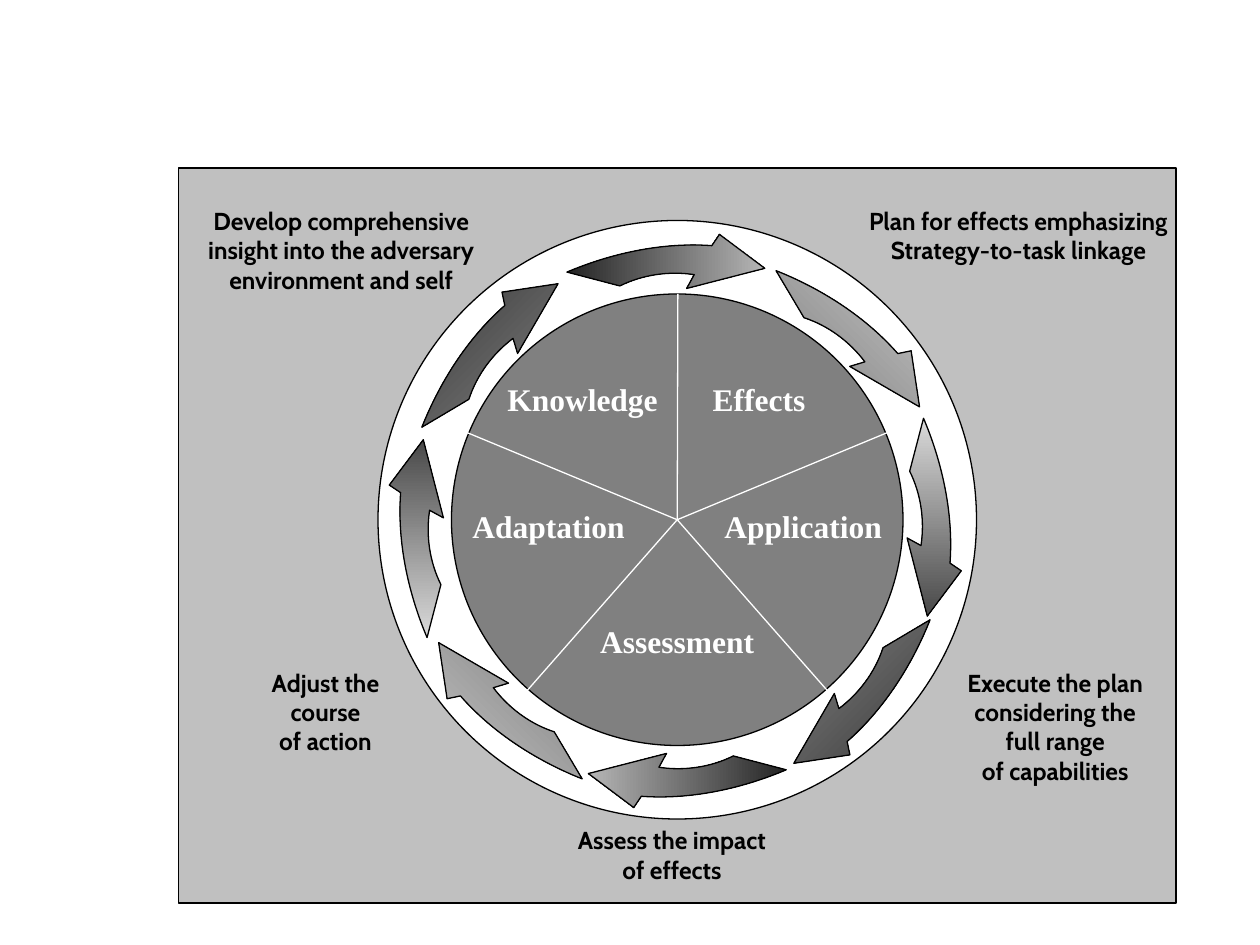
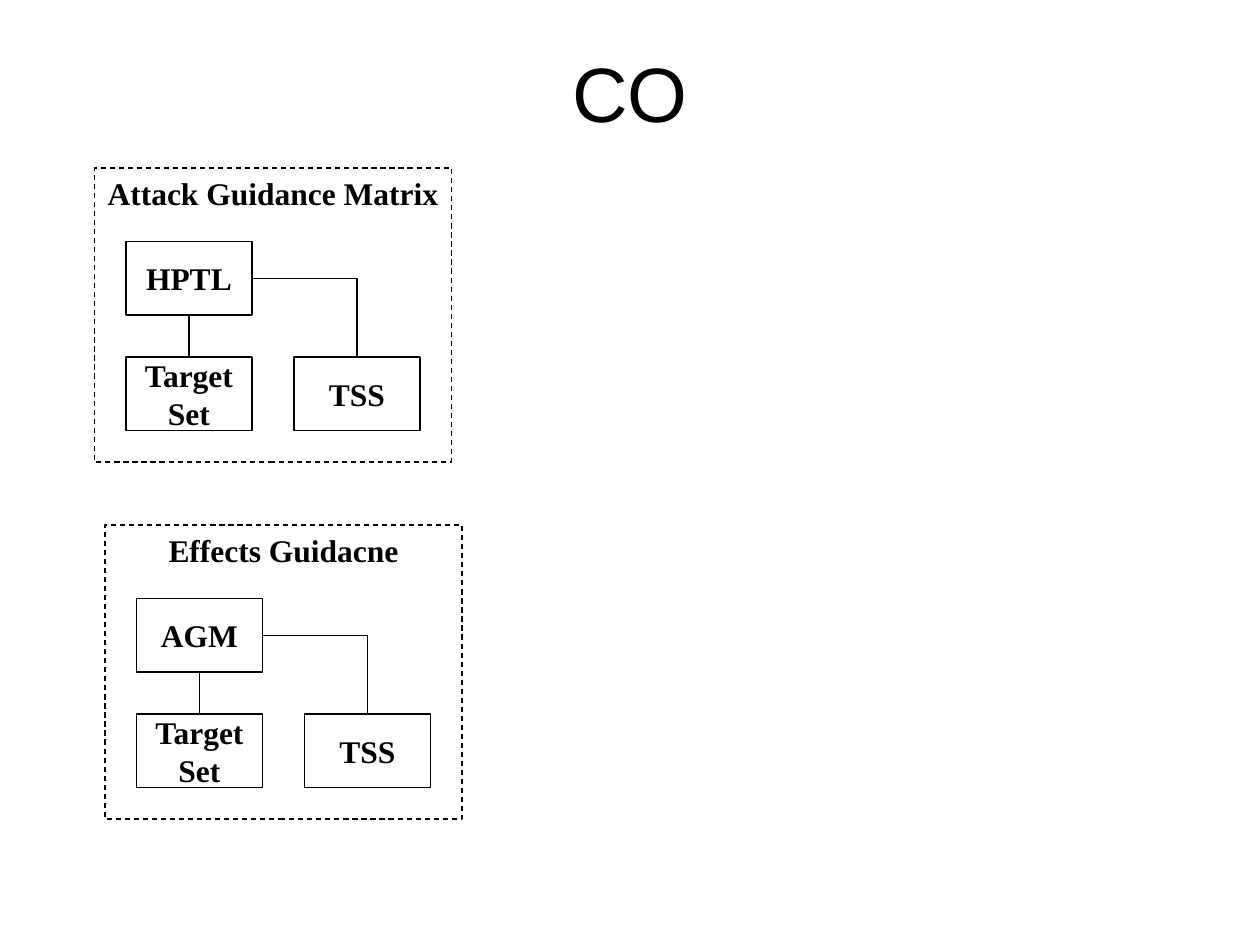
"""Build a two-slide deck: an effects cycle wheel and two guidance charts."""

from dataclasses import dataclass
from math import cos, radians, sin

from pptx import Presentation
from pptx.dml.color import RGBColor
from pptx.enum.dml import MSO_LINE_DASH_STYLE as Dash
from pptx.enum.shapes import MSO_CONNECTOR_TYPE as Link
from pptx.enum.shapes import MSO_AUTO_SHAPE_TYPE as Preset
from pptx.enum.text import MSO_ANCHOR as Anchor
from pptx.enum.text import PP_ALIGN as Align
from pptx.oxml.ns import qn
from pptx.oxml.xmlchemy import OxmlElement
from pptx.util import Inches, Pt

Point = tuple[float, float]


@dataclass(frozen=True)
class Theme:
    """Colours, fonts and type sizes of the deck."""

    ink: str = "000000"
    paper: str = "FFFFFF"
    panel: str = "C0C0C0"
    hub: str = "808080"
    title_font: str = "Arial"
    label_font: str = "Cabin"
    box_font: str = "Times New Roman"
    title_size: int = 44
    label_size: int = 14
    box_size: int = 18
    line_width: float = 0.75


def grid(value: float) -> Inches:
    """Turn inches into a length, snapping to the twelfth of an inch it rounds."""
    twelfth = round(value * 12) / 12
    return Inches(twelfth if abs(twelfth - value) < 0.01 else value)


@dataclass(frozen=True)
class Box:
    """A rectangle on the slide, in inches."""

    left: float
    top: float
    width: float
    height: float

    def lengths(self) -> list[Inches]:
        """Return the four measures as lengths."""
        return [grid(n) for n in (self.left, self.top, self.width, self.height)]


@dataclass(frozen=True)
class Step:
    """A text beside the wheel."""

    text: str
    box: Box
    inset: float = 0.1


@dataclass(frozen=True)
class HubLine:
    """A line of sector names with its space before, tab stop and right indent."""

    text: str
    gap: float = 0
    tab: float = 0
    indent: float = 0


@dataclass(frozen=True)
class Shading:
    """Two shades and the angle between the arrow's course and the gradient."""

    first: str
    last: str
    angle: float = 0


@dataclass(frozen=True)
class RingArrow:
    """An arrow of the ring: pivot, clockwise turn and shading."""

    pivot: Point
    turn: float
    shading: Shading


@dataclass(frozen=True)
class Guidance:
    """A dashed frame holding one parent box and two children."""

    left: float
    top: float
    heading: str
    parent: str


THEME = Theme()
HUB_CENTER = (5.375, 4.125)
SPOKE_ENDS = [(5.38, 2.33), (4.17, 5.5), (6.58, 5.5), (7.08, 3.42), (3.67, 3.42)]
HUB_LINES = [
    HubLine("Knowledge\tEffects", tab=1.63, indent=0.33),
    HubLine("Adaptation\tApplication", gap=51, tab=2),
    HubLine("Assessment", gap=44),
]
STEPS = [
    Step("Plan for effects emphasizing\nStrategy-to-task linkage", Box(6.75, 1.58, 2.67, 0.8), 0),
    Step("Develop comprehensive\ninsight into the adversary\nenvironment and self", Box(1.33, 1.58, 2.75, 0.8)),
    Step("Execute the plan\nconsidering the\nfull range\nof capabilities", Box(7.25, 5.25, 2.25, 1.04)),
    Step("Assess the impact\nof effects", Box(4.17, 6.5, 2.33, 0.57)),
    Step("Adjust the\ncourse\nof action", Box(1.5, 5.25, 2.17, 0.8)),
]
BRIGHTENING = Shading("151515", "D5D5D5")
DARKENING = Shading("EAEAEA", "292929")
LIGHT_RIM = Shading("525252", "D8D8D8", 90)
DARK_RIM = Shading("ADADAD", "262626", 90)
RING_ARROWS = [
    RingArrow((5.37, 5.87), 180, BRIGHTENING),
    RingArrow((5.37, 2.4), 0, BRIGHTENING),
    RingArrow((3.63, 4.19), 270, DARKENING),
    RingArrow((7.09, 4.19), 90, DARKENING),
    RingArrow((4.17, 5.4), 224.6, LIGHT_RIM),
    RingArrow((6.61, 2.93), 44.6, LIGHT_RIM),
    RingArrow((4.13, 2.94), 314.6, DARK_RIM),
    RingArrow((6.6, 5.37), 134.6, DARK_RIM),
]
ARROW_SIZE = (2.08, 0.9)
ARROW_OUTLINE = [
    ("a:moveTo", [(0.14, -0.22)]),
    ("a:cubicBezTo", [(-0.06, -0.25), (-0.27, -0.22), (-0.45, -0.13)]),
    ("a:lnTo", [(-0.87, -0.24)]),
    ("a:cubicBezTo", [(-0.54, -0.38), (-0.13, -0.48), (0.28, -0.45)]),
    ("a:lnTo", [(0.34, -0.54)]),
    ("a:lnTo", [(0.7, -0.27)]),
    ("a:lnTo", [(0.08, -0.11)]),
    ("a:close", []),
]
GUIDANCE = [
    Guidance(0.75, 1.33, "Attack Guidance Matrix", "HPTL"),
    Guidance(0.83, 4.17, "Effects Guidacne", "AGM"),
]


def rgb(color: str) -> RGBColor:
    """Turn a hex string into a colour."""
    return RGBColor.from_string(color)


def write(holder, text: str, *, font: str = THEME.box_font, size: int = THEME.box_size,
          color: str = THEME.ink, bold: bool = True, anchor: Anchor = Anchor.MIDDLE,
          wrap: bool = False, inset: float = 0.1) -> None:
    """Fill a shape with centred text, one paragraph per line."""
    frame = holder.text_frame
    frame.word_wrap = wrap
    frame.vertical_anchor = anchor
    frame.margin_left = frame.margin_right = Inches(inset)
    frame.margin_top = frame.margin_bottom = Inches(0.05)
    for index, line in enumerate(text.split("\n")):
        para = frame.paragraphs[0] if index == 0 else frame.add_paragraph()
        para.alignment = Align.CENTER
        span = para.add_run()
        span.text = line
        span.font.name = font
        span.font.size = Pt(size)
        span.font.bold = bold
        span.font.color.rgb = rgb(color)


def outline(shape, color: str = THEME.ink) -> None:
    """Give a shape or connector the thin line of the deck."""
    shape.line.color.rgb = rgb(color)
    shape.line.width = Pt(THEME.line_width)


def add_figure(page, preset: Preset, box: Box, fill: str | None = None):
    """Add an outlined preset shape, hollow unless a fill is given."""
    figure = page.shapes.add_shape(preset, *box.lengths())
    figure.shadow.inherit = False
    if fill:
        figure.fill.solid()
        figure.fill.fore_color.rgb = rgb(fill)
    else:
        figure.fill.background()
    outline(figure)
    return figure


def add_link(page, kind: Link, start: Point = (0, 0), end: Point = (0, 0), color: str = THEME.ink):
    """Add a connector without a shadow."""
    link = page.shapes.add_connector(kind, *(grid(n) for n in (*start, *end)))
    outline(link, color)
    link._element.spPr.append(OxmlElement("a:effectLst"))
    return link


def join(page, kind: Link, first, first_side: int, second, second_side: int):
    """Connect the side middles of two boxes."""
    link = add_link(page, kind)
    link.begin_connect(first, first_side)
    link.end_connect(second, second_side)
    return link


def write_hub(hub) -> None:
    """Set the sector names in the hub, spread by tabs and spacing."""
    write(hub, "\n".join(line.text for line in HUB_LINES), color=THEME.paper)
    for para, line in zip(hub.text_frame.paragraphs, HUB_LINES):
        para.space_before = Pt(line.gap)
        props = para._p.get_or_add_pPr()
        props.set("marR", str(Inches(line.indent)))
        if line.tab:
            stops = OxmlElement("a:tabLst")
            stop = OxmlElement("a:tab")
            stop.set("pos", str(Inches(line.tab)))
            stop.set("algn", "l")
            stops.append(stop)
            props.append(stops)


def add_ring_arrow(page, arrow: RingArrow) -> None:
    """Draw the curved arrow turned about its pivot."""
    c, s = cos(radians(arrow.turn)), sin(radians(arrow.turn))
    length, depth = ARROW_SIZE
    width = length * abs(c) + depth * abs(s)
    height = length * abs(s) + depth * abs(c)
    left, top = arrow.pivot[0] - width / 2, arrow.pivot[1] - height / 2
    builder = page.shapes.build_freeform(Inches(left), Inches(top))
    builder.add_line_segments([(Inches(left + width), Inches(top)),
                               (Inches(left + width), Inches(top + height))])
    shape = builder.convert_to_shape()
    trace = shape._element.spPr.find(".//" + qn("a:path"))
    for old in list(trace):
        trace.remove(old)
    for tag, points in ARROW_OUTLINE:
        move = OxmlElement(tag)
        for x, y in points:
            point = OxmlElement("a:pt")
            point.set("x", str(Inches(width / 2 + x * c - y * s)))
            point.set("y", str(Inches(height / 2 + x * s + y * c)))
            move.append(point)
        trace.append(move)
    shape.shadow.inherit = False
    shape.fill.gradient()
    shape.fill.gradient_angle = (arrow.shading.angle - arrow.turn) % 360
    for stop, shade in zip(shape.fill.gradient_stops, (arrow.shading.first, arrow.shading.last)):
        stop.color.rgb = rgb(shade)
    outline(shape)


def build_cycle(deck) -> None:
    """Build the wheel slide."""
    page = deck.slides.add_slide(deck.slide_layouts[6])
    add_figure(page, Preset.RECTANGLE, Box(1.42, 1.33, 7.92, 5.83), THEME.panel)
    add_figure(page, Preset.OVAL, Box(3, 1.75, 4.75, 4.75), THEME.paper)
    write_hub(add_figure(page, Preset.OVAL, Box(3.58, 2.33, 3.58, 3.58), THEME.hub))
    for end in SPOKE_ENDS:
        add_link(page, Link.STRAIGHT, HUB_CENTER, end, THEME.paper)
    for arrow in RING_ARROWS:
        add_ring_arrow(page, arrow)
    for step in STEPS:
        write(page.shapes.add_textbox(*step.box.lengths()), step.text, font=THEME.label_font,
              size=THEME.label_size, anchor=Anchor.TOP, wrap=True, inset=step.inset)


def add_guidance(page, chart: Guidance) -> None:
    """Draw one dashed frame with its three linked boxes."""
    def add_node(text: str, dx: float, dy: float):
        """Add a box placed from the frame's corner."""
        node = add_figure(page, Preset.RECTANGLE,
                          Box(chart.left + dx, chart.top + dy, 1, 0.58), THEME.paper)
        write(node, text)
        return node

    parent = add_node(chart.parent, 0.25, 0.58)
    target = add_node("Target\nSet", 0.25, 1.5)
    join(page, Link.STRAIGHT, target, 0, parent, 2)
    tss = add_node("TSS", 1.58, 1.5)
    elbow = join(page, Link.ELBOW, parent, 3, tss, 0)
    elbow._element.spPr.find(qn("a:prstGeom")).set("prst", "bentConnector2")
    frame = add_figure(page, Preset.RECTANGLE, Box(chart.left, chart.top, 2.83, 2.33))
    frame.line.dash_style = Dash.DASH
    write(frame, chart.heading, anchor=Anchor.TOP)


def build_guidance(deck) -> None:
    """Build the guidance slide."""
    page = deck.slides.add_slide(deck.slide_layouts[5])
    title = page.shapes.title
    title.left, title.top, title.width, title.height = Box(0.33, 0.25, 9.33, 0.95).lengths()
    write(title, "CO", font=THEME.title_font, size=THEME.title_size, bold=False, wrap=True)
    for chart in GUIDANCE:
        add_guidance(page, chart)


def main() -> None:
    """Build and save the deck."""
    deck = Presentation()
    deck.slide_width, deck.slide_height = Inches(10), Inches(7.5)
    build_cycle(deck)
    build_guidance(deck)
    deck.save("out.pptx")


if __name__ == "__main__":
    main()
